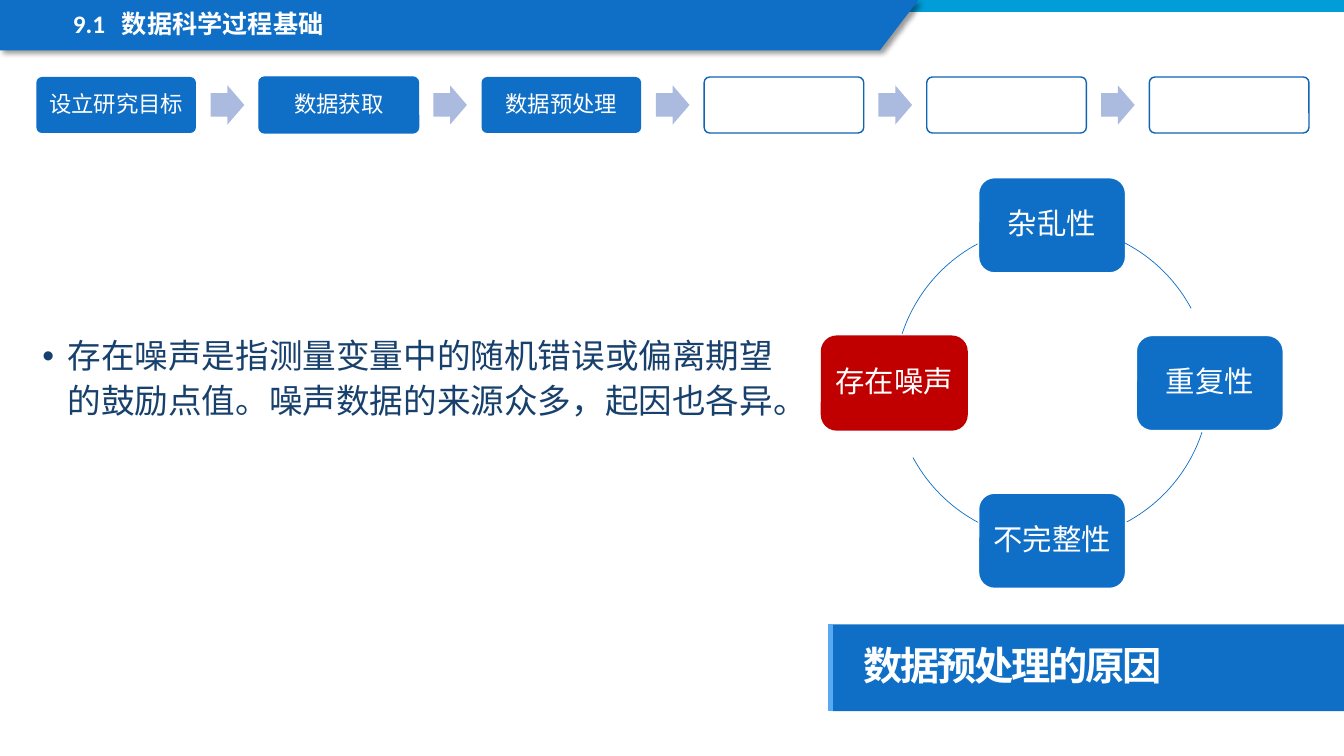
from dataclasses import dataclass
from typing import Any

from lxml import etree
from pptx import Presentation
from pptx import util as u
from pptx.dml.color import RGBColor
from pptx.enum import shapes, text
from pptx.oxml.ns import qn

BLUE, WHITE, RED = "0F6FC6", "FFFFFF", "C00000"
SHAPE, ALIGN, ANCHOR = shapes.MSO_SHAPE, text.PP_ALIGN, text.MSO_ANCHOR


def rgb(value):
    return RGBColor.from_string(value)


def child(parent, tag, **attrs):
    return etree.SubElement(parent, qn(tag), {k: str(v) for k, v in attrs.items()})


@dataclass
class Deck:
    """Draws styled elements on a slide, measured on a grid of 96 columns by 54 rows."""

    prs: Any
    slide: Any
    font: str = "Calibri"

    def x(self, cols):
        return round(self.prs.slide_width * cols / 96)

    def y(self, rows):
        return round(self.prs.slide_height * rows / 54)

    def frame(self, left, top, width, height):
        return self.x(left), self.y(top), self.x(width), self.y(height)

    def paint(self, sp, fill=None, line=None, weight=1):
        if fill:
            sp.fill.solid()
            sp.fill.fore_color.rgb = rgb(fill)
        else:
            sp.fill.background()
        if line:
            sp.line.color.rgb = rgb(line)
            sp.line.width = u.Pt(weight)
        else:
            sp.line.fill.background()

    def shape(self, kind, at, fill=None, line=None, weight=1, adj=()):
        sp = self.slide.shapes.add_shape(kind, *self.frame(*at))
        sp.shadow.inherit = False
        self.paint(sp, fill, line, weight)
        for i, value in enumerate(adj):
            sp.adjustments[i] = value
        return sp

    def label(self, sp, words, size, color=WHITE, bold=False, align=ALIGN.LEFT,
              anchor=ANCHOR.MIDDLE, spacing=0.9, font=None, bullet=None, tab=None):
        tf = sp.text_frame
        tf.word_wrap, tf.auto_size = True, text.MSO_AUTO_SIZE.NONE
        tf.vertical_anchor = anchor
        p = tf.paragraphs[0]
        p.text = words
        pPr = p._p.get_or_add_pPr()
        if bullet:
            pPr.set("marL", str(u.Inches(0.25)))
            pPr.set("indent", str(-u.Inches(0.25)))
            child(pPr, "a:buChar", char=bullet)
        if tab:
            child(child(pPr, "a:tabLst"), "a:tab", pos=self.x(tab), algn="l")
        p.alignment, p.line_spacing, p.space_before = align, spacing, u.Pt(0)
        f = p.font
        f.name, f.size, f.bold = font or self.font, u.Pt(size), bold
        f.color.rgb = rgb(color)
        child(f._element, "a:ea", typeface=f.name)
        return p

    def place(self, sp, at):
        sp.left, sp.top, sp.width, sp.height = self.frame(*at)
        return sp

    def textbox(self, at, words, size, **style):
        self.label(self.slide.shapes.add_textbox(*self.frame(*at)), words, size, **style)

    def line(self, x1, y1, x2, y2, color, weight):
        ends = self.x(x1), self.y(y1), self.x(x2), self.y(y2)
        cn = self.slide.shapes.add_connector(shapes.MSO_CONNECTOR.STRAIGHT, *ends)
        cn.line.color.rgb = rgb(color)
        cn.line.width = u.Pt(weight)
        child(cn._element.spPr, "a:effectLst")

    def banner(self, points, fill):
        (x0, y0), *rest = [(self.x(a), self.y(b)) for a, b in points]
        builder = self.slide.shapes.build_freeform(x0, y0)
        builder.add_line_segments(rest)
        sp = builder.convert_to_shape()
        sp.shadow.inherit = False
        self.paint(sp, fill)
        effects = sp._element.spPr.find(qn("a:effectLst"))
        shadow = child(effects, "a:outerShdw", blurRad=u.Pt(4), dist=u.Pt(3),
                       dir=45 * 60000, algn="tl", rotWithShape=0)
        child(child(shadow, "a:srgbClr", val="000000"), "a:alpha", val=40000)

    def node(self, at, words, size, fill, line=None, adj=()):
        sp = self.shape(SHAPE.ROUNDED_RECTANGLE, at, fill, line, adj=adj)
        if words:
            self.label(sp, words, size, align=ALIGN.CENTER)


def main():
    prs = Presentation()
    prs.slide_width, prs.slide_height = u.Inches(13.333), u.Inches(7.5)
    slide = prs.slides.add_slide(prs.slide_layouts[1])
    deck = Deck(prs, slide)

    deck.line(59.33, 44.6, 59.33, 50.8, "59AAF2", 3)
    deck.shape(SHAPE.RECTANGLE, (0, 0, 96, 0.85), "009DD9")
    deck.banner([(0, 0), (65.6, 0), (62.85, 3.6), (0, 3.6)], BLUE)
    deck.textbox((4.5, 0.5, 50, 2.7), "9.1\t数据科学过程基础", 18, bold=True,
                 anchor=ANCHOR.TOP, tab=3.5)

    title = deck.place(slide.shapes.title, (59.5, 44.6, 36.5, 6.2))
    deck.paint(title, BLUE)
    title.text_frame.margin_left = u.Inches(0.3)
    p = deck.label(title, "数据预处理的原因", 28, bold=True, font="Noto Sans CJK SC")
    p.font._element.set("spc", "-150")

    body = deck.place(slide.placeholders[1], (2.3, 23.3, 54.4, 10.2))
    deck.label(body, "存在噪声是指测量变量中的随机错误或偏离期望的鼓励点值。噪声数据的来源众多，起因也各异。",
               24, "17406D", anchor=ANCHOR.TOP, spacing=1.1, bullet="•")

    steps = [("设立研究目标", None), ("数据获取", BLUE), ("数据预处理", None)]
    steps += [("", "0E65B4")] * 3
    for i, (name, line) in enumerate(steps):
        left = 2.6 + 15.9 * i
        deck.node((left, 5.5, 11.4, 4), name, 16, BLUE if name else WHITE, line, adj=[0.1])
        if i < len(steps) - 1:
            deck.shape(SHAPE.RIGHT_ARROW, (left + 12.45, 6.1, 2.4, 2.8), "ABBBDF", adj=[0.6, 0.5])

    cx, cy, radius, width, height = 75.15, 27.36, 11.27, 10.5, 6.8
    causes = [("杂乱性", 0, -1), ("重复性", 1, 0), ("不完整性", 0, 1), ("存在噪声", -1, 0)]
    for i, (name, dx, dy) in enumerate(causes):
        at = (cx + dx * radius - width / 2, cy + dy * radius - height / 2, width, height)
        current = name == "存在噪声"
        deck.node(at, name, 21, RED if current else BLUE, None if current else WHITE)
        start = 18.2 + 90 * i
        deck.shape(SHAPE.ARC, (cx - radius, cy - radius, 2 * radius, 2 * radius), line=BLUE,
                   weight=0.5, adj=[0.6 * start, 0.6 * (start + 43.6)])

    prs.save("out.pptx")


if __name__ == "__main__":
    main()
